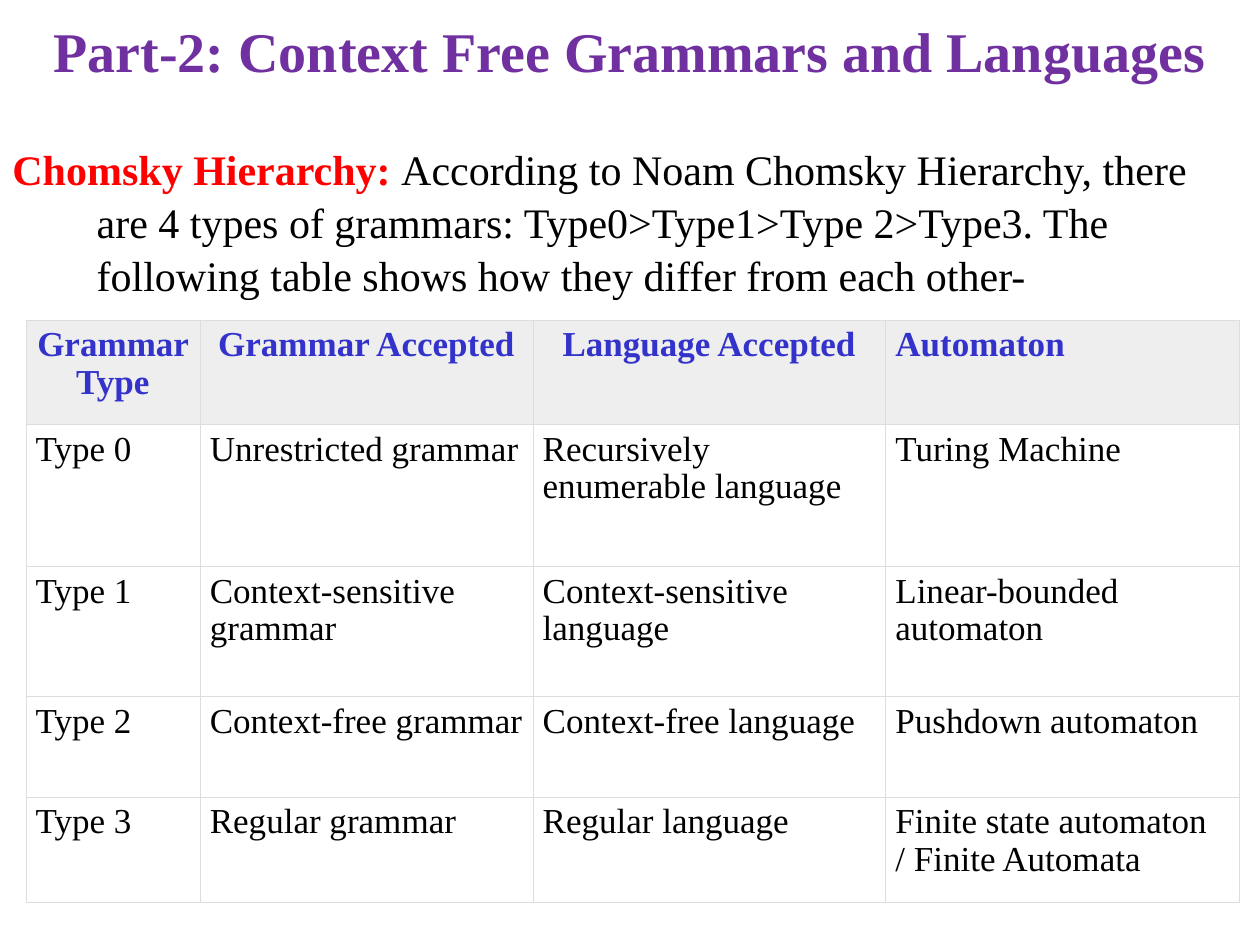
import dataclasses

import pptx
import pptx.dml.color
import pptx.enum.text
import pptx.oxml
import pptx.oxml.ns
import pptx.util
from pptx.util import Cm

ALIGN = pptx.enum.text.PP_ALIGN
ANCHOR = pptx.enum.text.MSO_ANCHOR


@dataclasses.dataclass(frozen=True)
class Theme:
    font: str = "Times New Roman"
    title_color: str = "7030A0"
    term_color: str = "FF0000"
    heading_color: str = "3333CC"
    text_color: str = "000000"
    header_fill: str = "EEEEEE"
    body_fill: str = "FFFFFF"
    border_color: str = "DDDDDD"
    title_size: int = 32
    text_size: int = 24
    table_size: int = 20
    border_width: float = 0.34


THEME = Theme()

HEADINGS = ["Grammar Type", "Grammar Accepted", "Language Accepted", "Automaton"]
GRAMMARS = [
    ["Type 0", "Unrestricted grammar", "Recursively enumerable language", "Turing Machine"],
    ["Type 1", "Context-sensitive grammar", "Context-sensitive language", "Linear-bounded automaton"],
    ["Type 2", "Context-free grammar", "Context-free language", "Pushdown automaton"],
    ["Type 3", "Regular grammar", "Regular language", "Finite state automaton\n/ Finite Automata"],
]
COLUMN_WIDTHS = [3.51, 6.71, 7.11, 7.14]
ROW_HEIGHTS = [2.11, 2.86, 2.62, 2.03, 2.11]


def color(value):
    return pptx.dml.color.RGBColor.from_string(value)


def add_run(paragraph, text, size, text_color, bold=False):
    run = paragraph.add_run()
    run.text = text
    run.font.name = THEME.font
    run.font.size = pptx.util.Pt(size)
    run.font.bold = bold
    run.font.color.rgb = color(text_color)


def add_title(slide, left, top, width, height):
    title = slide.shapes.title
    title.left, title.top, title.width, title.height = left, top, width, height
    frame = title.text_frame
    frame.word_wrap = True
    frame.auto_size = pptx.enum.text.MSO_AUTO_SIZE.NONE
    frame.vertical_anchor = ANCHOR.MIDDLE
    paragraph = frame.paragraphs[0]
    paragraph.alignment = ALIGN.CENTER
    paragraph.line_spacing = 0.9
    paragraph.space_before = pptx.util.Pt(0)
    add_run(paragraph, "Part-2: Context Free Grammars and Languages",
            THEME.title_size, THEME.title_color, bold=True)


def add_introduction(slide, left, top, width, height):
    frame = slide.shapes.add_textbox(left, top, width, height).text_frame
    frame.word_wrap = True
    paragraph = frame.paragraphs[0]
    paragraph.line_spacing = 1.06
    properties = paragraph._p.get_or_add_pPr()
    hanging = Cm(1.7)
    properties.set("marL", str(hanging))
    properties.set("indent", str(-hanging))
    add_run(paragraph, "Chomsky Hierarchy: ", THEME.text_size, THEME.term_color, bold=True)
    add_run(paragraph,
            "According to Noam Chomsky Hierarchy, there are 4 types of grammars: "
            "Type0>Type1>Type 2>Type3. The following table shows how they differ from each other-",
            THEME.text_size, THEME.text_color)


def add_borders(cell):
    properties = cell._tc.get_or_add_tcPr()
    namespace = pptx.oxml.ns.nsdecls("a")
    width = pptx.util.Pt(THEME.border_width)
    for position, side in enumerate(("lnL", "lnR", "lnT", "lnB")):
        properties.insert(position, pptx.oxml.parse_xml(
            f'<a:{side} {namespace} w="{width}"><a:solidFill>'
            f'<a:srgbClr val="{THEME.border_color}"/></a:solidFill></a:{side}>'))


def fill_cell(cell, text, is_header, alignment):
    cell.margin_left = cell.margin_right = Cm(0.2)
    cell.margin_top = cell.margin_bottom = Cm(0.13)
    cell.vertical_anchor = ANCHOR.TOP
    cell.fill.solid()
    cell.fill.fore_color.rgb = color(THEME.header_fill if is_header else THEME.body_fill)
    add_borders(cell)
    frame = cell.text_frame
    for index, line in enumerate(text.split("\n")):
        paragraph = frame.add_paragraph() if index else frame.paragraphs[0]
        paragraph.alignment = alignment
        paragraph.line_spacing = 0.97
        add_run(paragraph, line, THEME.table_size,
                THEME.heading_color if is_header else THEME.text_color, bold=is_header)


def add_grammar_table(slide, left, top, width, height):
    rows = [HEADINGS] + GRAMMARS
    table = slide.shapes.add_table(len(rows), len(HEADINGS), left, top, width, height).table
    for column, column_width in zip(table.columns, COLUMN_WIDTHS):
        column.width = Cm(column_width)
    for row, row_height in zip(table.rows, ROW_HEIGHTS):
        row.height = Cm(row_height)
    for row_index, texts in enumerate(rows):
        is_header = row_index == 0
        for column_index, text in enumerate(texts):
            alignment = ALIGN.LEFT
            if is_header:
                is_last = column_index == len(texts) - 1
                alignment = ALIGN.JUSTIFY if is_last else ALIGN.CENTER
            fill_cell(table.cell(row_index, column_index), text, is_header, alignment)


def main():
    presentation = pptx.Presentation()
    presentation.slide_width, presentation.slide_height = Cm(25.4), Cm(19.05)
    slide = presentation.slides.add_slide(presentation.slide_layouts[5])
    add_title(slide, Cm(0), Cm(0), Cm(25.4), Cm(2.2))
    add_introduction(slide, Cm(0), Cm(2.7), Cm(25.4), Cm(3.53))
    add_grammar_table(slide, Cm(0.52), Cm(6.45), Cm(sum(COLUMN_WIDTHS)), Cm(sum(ROW_HEIGHTS)))
    presentation.save("out.pptx")


if __name__ == "__main__":
    main()
